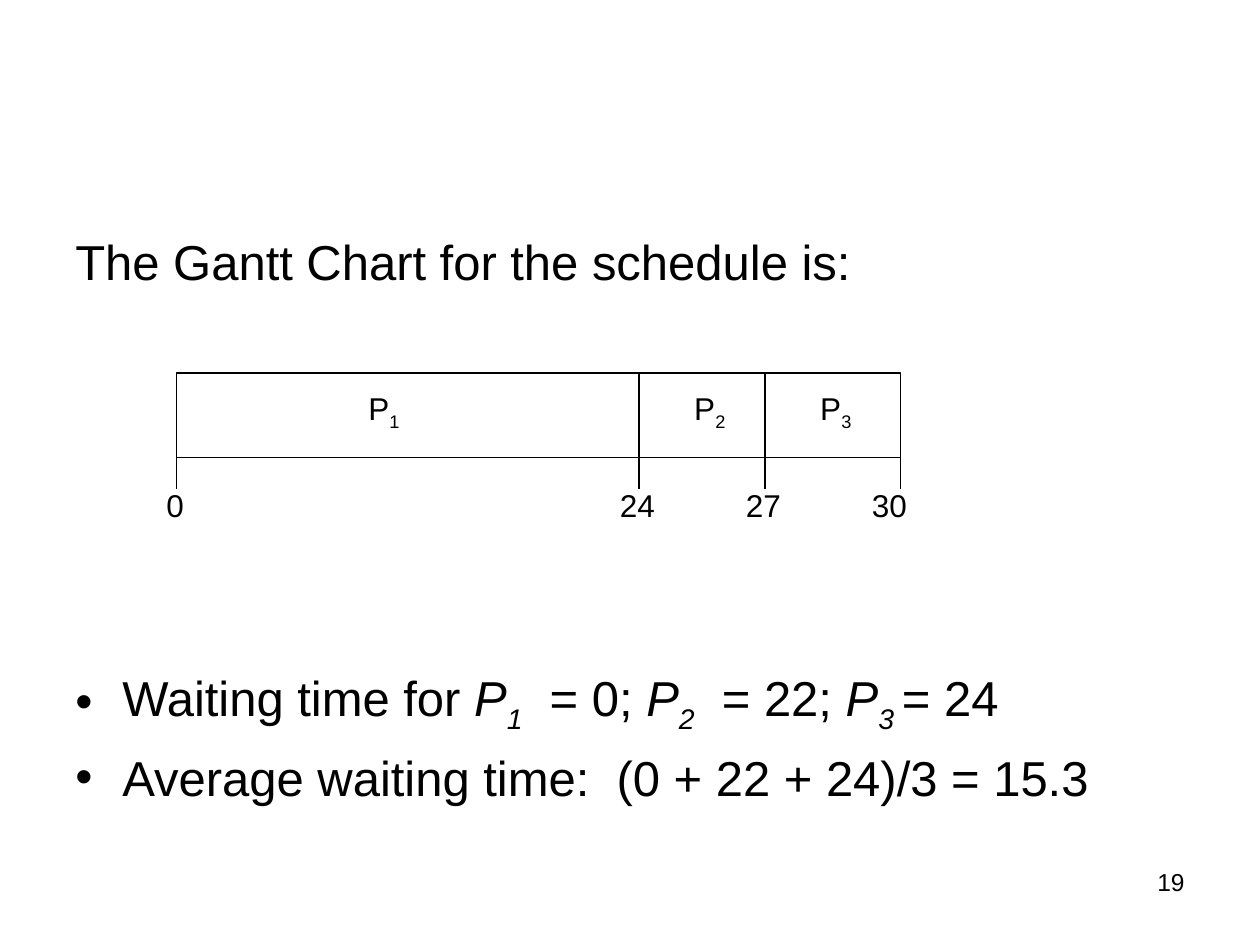
from dataclasses import dataclass

from lxml import etree
from pptx import Presentation
from pptx import util as u
from pptx.dml.color import RGBColor
from pptx.enum import shapes, text
from pptx.oxml.ns import qn

COLOURS = {"ink": "000000", "paper": "FFFFFF"}
FONT = "Arial"
BAR_LEFT, BAR_TOP, BAR_RIGHT, BAR_BOTTOM = 3.56, 7.52, 18.16, 9.22
TICK_BOTTOM = 9.86
INDENT = 0.95


@dataclass(frozen=True)
class Process:
    number: str
    centre: float


@dataclass(frozen=True)
class Tick:
    time: str
    x: float
    label_centre: float


@dataclass(frozen=True)
class Piece:
    text: str
    italic: bool = False
    subscript: bool = False


PROCESSES = [Process("1", 7.74), Process("2", 14.31), Process("3", 16.85)]
TICKS = [
    Tick("0", BAR_LEFT, 3.53),
    Tick("24", 12.88, 12.85),
    Tick("27", 15.42, 15.39),
    Tick("30", BAR_RIGHT, 17.93),
]


def colour(name: str) -> RGBColor:
    return RGBColor.from_string(COLOURS[name])


def add_text_box(slide, left: float, top: float, width: float, height: float, wrap: bool = True):
    shape = slide.shapes.add_textbox(u.Cm(left), u.Cm(top), u.Cm(width), u.Cm(height))
    shape.text_frame.word_wrap = wrap
    return shape.text_frame


def write(paragraph, pieces: list[Piece], size: float) -> None:
    """Put the pieces in the paragraph as one run each."""
    for piece in pieces:
        run = paragraph.add_run()
        run.text = piece.text
        run.font.name = FONT
        run.font.size = u.Pt(size)
        run.font.color.rgb = colour("ink")
        run.font.italic = piece.italic
        if piece.subscript:
            run.font._element.set("baseline", "-25000")


def add_bullet(paragraph) -> None:
    properties = paragraph._p.get_or_add_pPr()
    properties.set("marL", str(u.Cm(INDENT)))
    properties.set("indent", str(-u.Cm(INDENT)))
    etree.SubElement(properties, qn("a:buFont")).set("typeface", FONT)
    etree.SubElement(properties, qn("a:buChar")).set("char", "•")


def add_label(slide, centre: float, top: float, width: float, height: float, pieces: list[Piece]) -> None:
    frame = add_text_box(slide, centre - width / 2, top, width, height, wrap=False)
    frame.vertical_anchor = text.MSO_ANCHOR.MIDDLE
    paragraph = frame.paragraphs[0]
    paragraph.alignment = text.PP_ALIGN.CENTER
    write(paragraph, pieces, 18)


def add_vertical_line(slide, x: float, top: float, bottom: float) -> None:
    line = slide.shapes.add_connector(
        shapes.MSO_CONNECTOR.STRAIGHT, u.Cm(x), u.Cm(top), u.Cm(x), u.Cm(bottom)
    )
    line.line.color.rgb = colour("ink")
    line.line.width = u.Pt(0.75)
    etree.SubElement(line._element.spPr, qn("a:effectLst"))


def add_gantt_chart(slide) -> None:
    bar = slide.shapes.add_shape(
        shapes.MSO_SHAPE.RECTANGLE, u.Cm(BAR_LEFT), u.Cm(BAR_TOP),
        u.Cm(BAR_RIGHT - BAR_LEFT), u.Cm(BAR_BOTTOM - BAR_TOP),
    )
    bar.shadow.inherit = False
    bar.fill.solid()
    bar.fill.fore_color.rgb = colour("paper")
    bar.line.color.rgb = colour("ink")
    bar.line.width = u.Pt(0.75)

    for process in PROCESSES:
        pieces = [Piece("P"), Piece(process.number, subscript=True)]
        add_label(slide, process.centre, 7.71, 1.14, 1.12, pieces)
    for tick in TICKS:
        add_vertical_line(slide, tick.x, BAR_BOTTOM, TICK_BOTTOM)
        add_label(slide, tick.label_centre, 9.67, 1.22, 1.02, [Piece(tick.time)])
    for tick in TICKS[1:-1]:
        add_vertical_line(slide, tick.x, BAR_TOP, BAR_BOTTOM)


def add_results(slide) -> None:
    waiting = [Piece("Waiting time for ")]
    for number, value in (("1", "  = 0; "), ("2", "  = 22; "), ("3 ", "= 24")):
        waiting += [Piece("P", italic=True), Piece(number, italic=True, subscript=True), Piece(value)]
    average = [Piece("Average waiting time:  (0 + 22 + 24)/3 = 15.3")]

    frame = add_text_box(slide, 1.27, 13.34, 22.86, 3.2)
    first = frame.paragraphs[0]
    second = frame.add_paragraph()
    second.space_before = u.Pt(7)
    for paragraph, pieces in ((first, waiting), (second, average)):
        add_bullet(paragraph)
        write(paragraph, pieces, 28)


def main() -> None:
    presentation = Presentation()
    presentation.slide_width, presentation.slide_height = u.Cm(25.4), u.Cm(19.05)
    slide = presentation.slides.add_slide(presentation.slide_layouts[6])

    heading = add_text_box(slide, 1.27, 4.54, 22.86, 1.4)
    write(heading.paragraphs[0], [Piece("The Gantt Chart for the schedule is:")], 28)
    add_gantt_chart(slide)
    add_results(slide)

    page_number = add_text_box(slide, 18.2, 17.35, 5.93, 1.32).paragraphs[0]
    page_number.alignment = text.PP_ALIGN.RIGHT
    write(page_number, [Piece("19")], 14)

    presentation.save("out.pptx")


if __name__ == "__main__":
    main()
